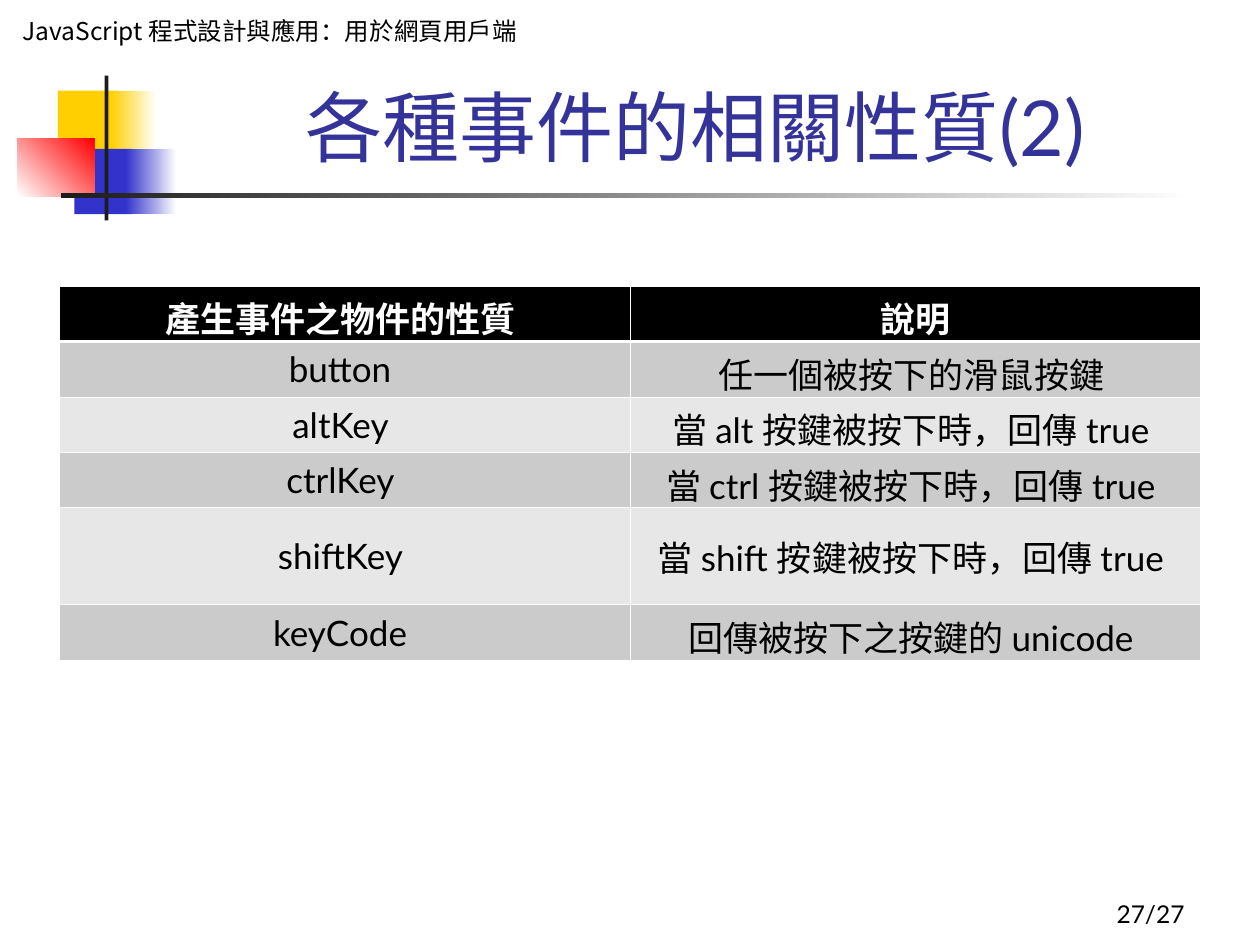
import pptx
import pptx.dml.color
import pptx.enum.shapes
import pptx.enum.text
import pptx.oxml.ns
import pptx.util
from dataclasses import dataclass
from lxml import etree

Pt = pptx.util.Pt
Align = pptx.enum.text.PP_ALIGN
Anchor = pptx.enum.text.MSO_ANCHOR
qn = pptx.oxml.ns.qn


@dataclass(frozen=True)
class Theme:
    latin: str = "Lato"
    asian: str = "Noto Sans CJK SC"
    title_size: float = 44
    table_size: float = 20
    small_size: float = 14
    white: str = "FFFFFF"
    black: str = "000000"
    ink: str = "1C1C1C"
    yellow: str = "FFCF01"
    blue: str = "3333CC"
    red: str = "FF0000"
    title: str = "333399"
    bands: tuple = ("CBCBCB", "E7E7E7")
    thin: float = 0.45
    thick: float = 1.47


def rgb(value):
    return pptx.dml.color.RGBColor.from_string(value)


class SlideBuilder:
    def __init__(self, page, theme):
        self.page = page
        self.theme = theme

    def block(self, place, color, fade_to=None, angle=0):
        """Rectangle in one colour, or fading to a second one."""
        shape = self.page.shapes.add_shape(
            pptx.enum.shapes.MSO_SHAPE.RECTANGLE, *map(Pt, place))
        shape.shadow.inherit = False
        shape.line.fill.background()
        if fade_to is None:
            shape.fill.solid()
            shape.fill.fore_color.rgb = rgb(color)
        else:
            shape.fill.gradient()
            shape.fill.gradient_angle = angle
            for stop, value in zip(shape.fill.gradient_stops, (color, fade_to)):
                stop.color.rgb = rgb(value)

    def set_text(self, frame, text, size, color, align, bold=False, latin=None):
        para = frame.paragraphs[0]
        para.text = text
        para.alignment = align
        font = para.font
        font.size = Pt(size)
        font.bold = bold
        font.color.rgb = rgb(color)
        font.name = latin or self.theme.latin
        # The East Asian typeface follows the Latin one
        typeface = para._p.pPr.find(qn("a:defRPr")).find(qn("a:latin"))
        asian = etree.Element(qn("a:ea"), typeface=self.theme.asian)
        typeface.addnext(asian)

    def text(self, place, text, size, color, align, anchor, latin=None, fill=None):
        box = self.page.shapes.add_textbox(*map(Pt, place))
        if fill:
            box.fill.solid()
            box.fill.fore_color.rgb = rgb(fill)
        frame = box.text_frame
        frame.word_wrap = True
        frame.vertical_anchor = anchor
        self.set_text(frame, text, size, color, align, latin=latin)

    def border(self, side, width):
        line = etree.Element(qn(f"a:{side}"), w=str(Pt(width)))
        fill = etree.SubElement(line, qn("a:solidFill"))
        etree.SubElement(fill, qn("a:srgbClr"), val=self.theme.white)
        return line

    def table(self, left, top, column_width, heights, rows):
        theme = self.theme
        columns = len(rows[0])
        table = self.page.shapes.add_table(
            len(rows), columns, Pt(left), Pt(top),
            Pt(column_width * columns), Pt(sum(heights))).table
        table.horz_banding = False
        for column in table.columns:
            column.width = Pt(column_width)
        for index, (height, texts) in enumerate(zip(heights, rows)):
            header = index == 0
            table.rows[index].height = Pt(height)
            fill = theme.black if header else theme.bands[(index - 1) % 2]
            widths = {"lnL": theme.thin, "lnR": theme.thin,
                      "lnT": theme.thick if index == 1 else theme.thin,
                      "lnB": theme.thick if header else theme.thin}
            for cell, text in zip(table.rows[index].cells, texts):
                cell.vertical_anchor = Anchor.MIDDLE
                cell.fill.solid()
                cell.fill.fore_color.rgb = rgb(fill)
                self.set_text(cell.text_frame, text, theme.table_size,
                              theme.white if header else theme.black,
                              Align.CENTER, bold=header)
                properties = cell._tc.get_or_add_tcPr()
                for position, (side, width) in enumerate(widths.items()):
                    properties.insert(position, self.border(side, width))


def main():
    theme = Theme()
    deck = pptx.Presentation()
    deck.slide_width, deck.slide_height = Pt(720), Pt(540)
    slide = SlideBuilder(deck.slides.add_slide(deck.slide_layouts[6]), theme)

    # Corner ornament and title rule
    slide.block((33.1, 51.8, 34.6, 37.4), theme.yellow)
    slide.block((63.4, 51.8, 25.9, 37.4), theme.yellow, theme.white)
    slide.block((42.5, 85, 33.1, 37.4), theme.blue)
    slide.block((72, 85, 28.8, 37.4), theme.blue, theme.white)
    slide.block((10.1, 79.2, 43.9, 33.1), theme.white, theme.red, angle=45)
    slide.block((59.8, 43.2, 2.2, 82.8), theme.ink)
    slide.block((34.6, 110.2, 648, 2.9), theme.ink, theme.white)

    # Course name and title
    slide.text((5.8, 5.8, 337, 24.5), "JavaScript 程式設計與應用：用於網頁用戶端",
               theme.small_size, theme.black, Align.LEFT, Anchor.TOP,
               latin=theme.asian, fill=theme.white)
    slide.text((90.7, 41.8, 613.4, 59.8), "各種事件的相關性質(2)",
               theme.title_size, theme.title, Align.CENTER, Anchor.BOTTOM)

    # Event properties
    rows = [
        ("產生事件之物件的性質 ", "說明"),
        ("button ", "任一個被按下的滑鼠按鍵 "),
        *((f"{key}Key ", f"當 {key} 按鍵被按下時，回傳 true ")
          for key in ("alt", "ctrl", "shift")),
        ("keyCode ", "回傳被按下之按鍵的 unicode "),
    ]
    heights = [31.7] * len(rows)
    heights[4] = 55.4
    slide.table(33.8, 163.4, 326.2, heights, rows)

    # Page number
    slide.text((534.2, 498.2, 149.8, 36), "27/27", theme.small_size,
               theme.black, Align.RIGHT, Anchor.BOTTOM)

    deck.save("out.pptx")


if __name__ == "__main__":
    main()
